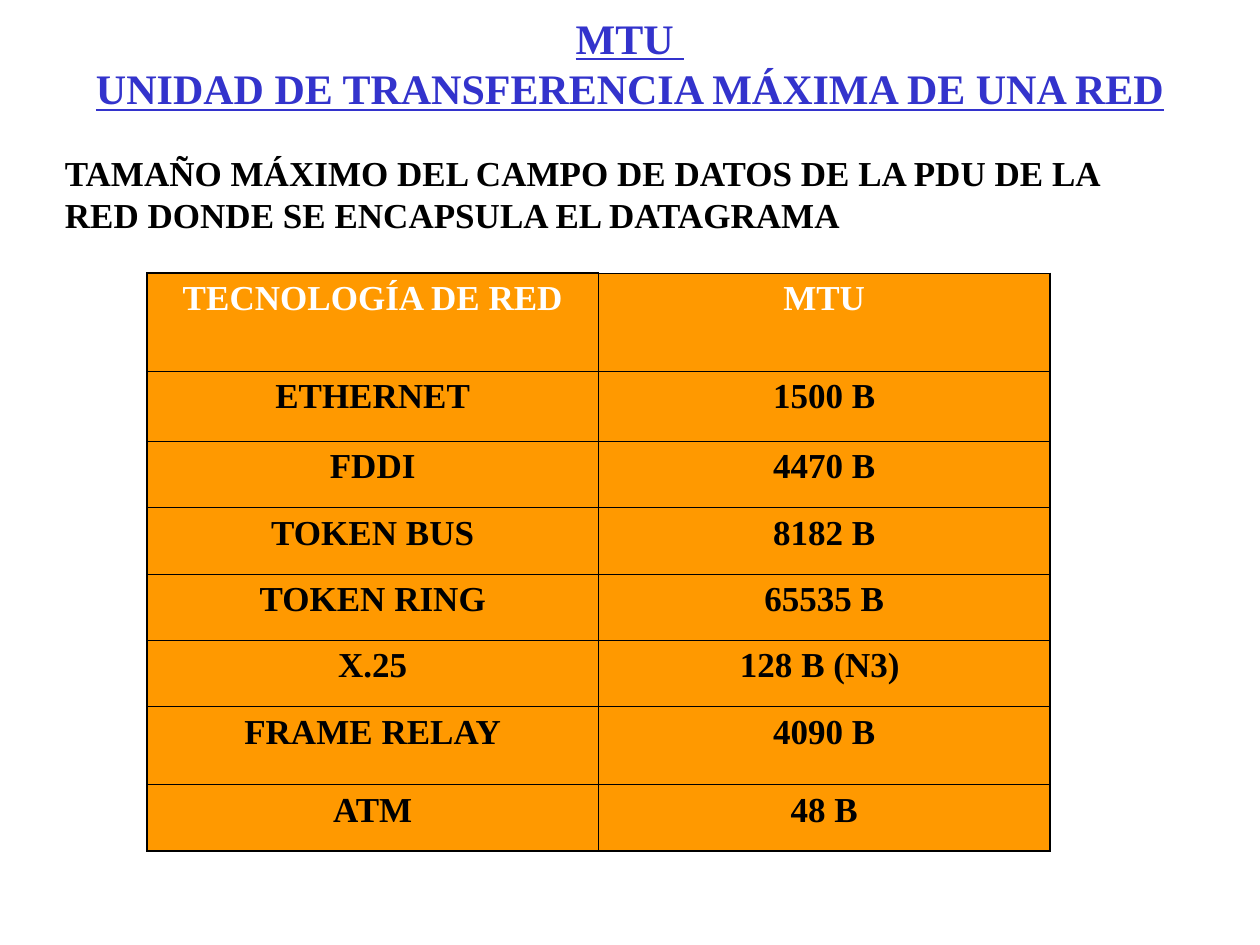
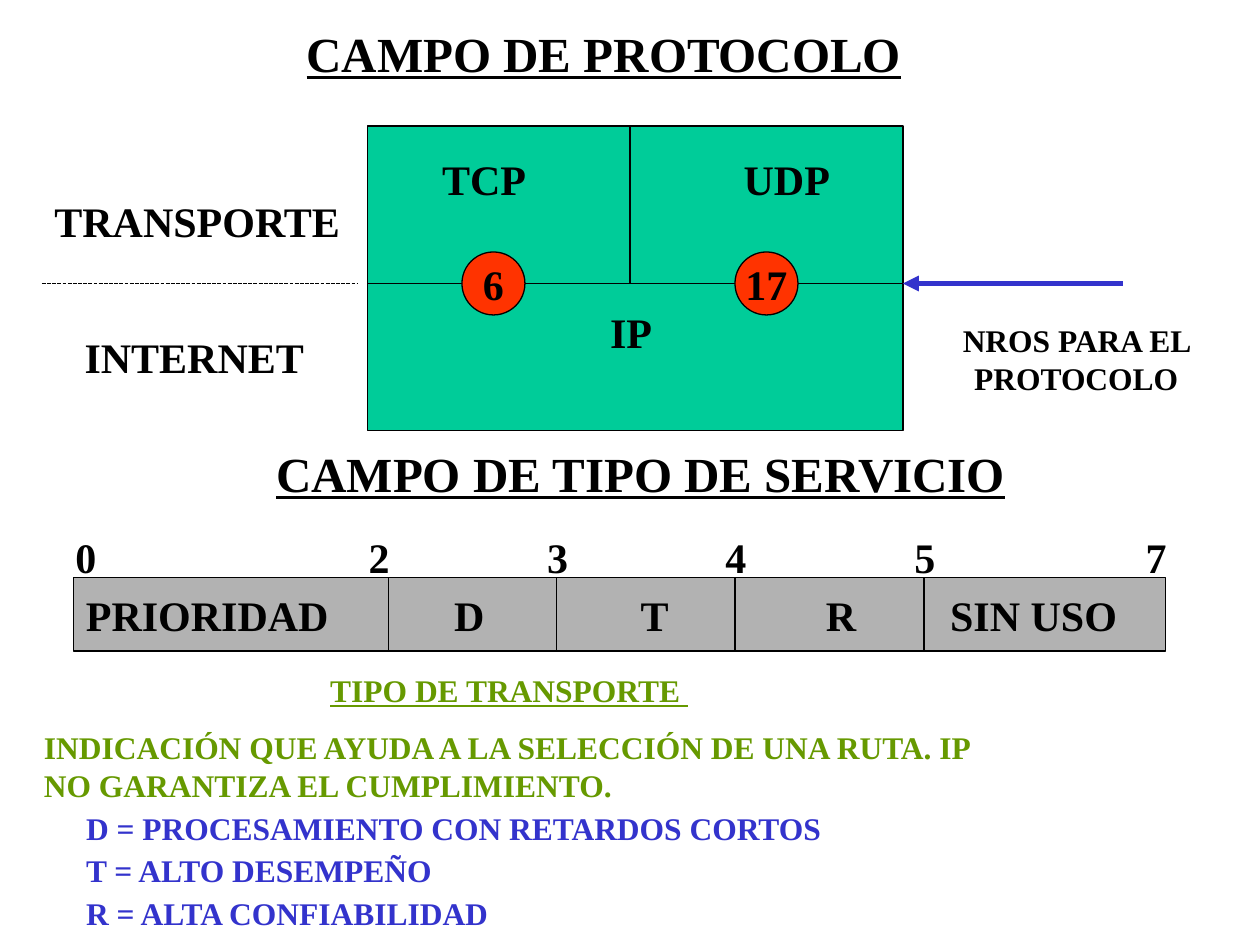
"""Build two slides on network MTU values and the IP protocol and service fields."""
from lxml import etree
from pptx import Presentation
from pptx.dml.color import RGBColor
from pptx.enum.dml import MSO_LINE
from pptx.enum.shapes import MSO_CONNECTOR, MSO_SHAPE
from pptx.enum.text import MSO_ANCHOR, MSO_AUTO_SIZE, PP_ALIGN
from pptx.oxml.ns import qn
from pptx.util import Pt

LEFT, CENTER = PP_ALIGN.LEFT, PP_ALIGN.CENTER
MIDDLE = MSO_ANCHOR.MIDDLE
RECTANGLE, OVAL = MSO_SHAPE.RECTANGLE, MSO_SHAPE.OVAL
STRAIGHT = MSO_CONNECTOR.STRAIGHT
FINE_DASH = MSO_LINE.SQUARE_DOT
FIXED_SIZE = MSO_AUTO_SIZE.NONE


class Theme:
    """Colours, font and type sizes shared by the slides."""
    font = "Times New Roman"
    black, white = RGBColor(0, 0, 0), RGBColor(255, 255, 255)
    blue, green = RGBColor(0x33, 0x33, 0xCC), RGBColor(0x66, 0x99, 0x00)
    orange, red = RGBColor(0xFF, 0x99, 0x00), RGBColor(0xFF, 0x33, 0x00)
    teal, grey = RGBColor(0x00, 0xCC, 0x99), RGBColor(0xB2, 0xB2, 0xB2)
    heading, label, body, note = Pt(28), Pt(24), Pt(20), Pt(18)
    thin, thick, arrow = Pt(0.75), Pt(1.08), Pt(3)
    inner = Pt(0.45)


def write(frame, text, size, color=Theme.black, align=LEFT, underline=False, tabs=()):
    """Fill a text frame with bold text and centred tab stops."""
    frame.text = text
    frame.word_wrap = True
    for para in frame.paragraphs:
        para.alignment = align
        para.space_before = Pt(0)
        if tabs:
            stops = etree.SubElement(para._p.get_or_add_pPr(), qn("a:tabLst"))
            for stop in tabs:
                etree.SubElement(stops, qn("a:tab"), pos=str(Pt(stop)), algn="ctr")
        for span in para.runs:
            span.font.name = Theme.font
            span.font.size = size
            span.font.bold = True
            span.font.underline = underline
            span.font.color.rgb = color


def draw_line(page, start, end, color=Theme.black, width=Theme.thin):
    """Draw a straight line without a shadow and return it."""
    line = page.shapes.add_connector(STRAIGHT, *(Pt(v) for v in start + end))
    line.line.color.rgb = color
    line.line.width = width
    etree.SubElement(line._element.spPr, qn("a:effectLst"))
    return line


deck = Presentation()
deck.slide_width, deck.slide_height = Pt(720), Pt(540)
mtu_page = deck.slides.add_slide(deck.slide_layouts[5])
field_page = deck.slides.add_slide(deck.slide_layouts[1])

titles = [
    (mtu_page, "MTU \vUNIDAD DE TRANSFERENCIA MÁXIMA DE UNA RED",
     (0, 12, 720, 48), Theme.label, Theme.blue),
    (field_page, "CAMPO DE PROTOCOLO", (138, 6, 414, 48), Theme.heading, Theme.black),
]
for page, text, place, size, color in titles:
    title = page.shapes.title
    title.left, title.top, title.width, title.height = (Pt(v) for v in place)
    write(title.text_frame, text, size, color, CENTER, True)
    title.text_frame.auto_size = FIXED_SIZE
    title.text_frame.vertical_anchor = MIDDLE

mtu_rows = [
    ("TECNOLOGÍA DE RED", "MTU", 56),
    ("ETHERNET", "1500 B", 40),
    ("FDDI", "4470 B", 38),
    ("TOKEN BUS", "8182 B", 38),
    ("TOKEN RING", "65535 B", 38),
    ("X.25", "128 B (N3) ", 38),
    ("FRAME RELAY", "4090 B", 44.5),
    ("ATM", "48 B", 38),
]
table = mtu_page.shapes.add_table(len(mtu_rows), 2, Pt(84), Pt(156), Pt(516), Pt(330.5)).table
last_row = len(mtu_rows) - 1
for row, (network, mtu, height) in enumerate(mtu_rows):
    table.rows[row].height = Pt(height)
    for column, text in enumerate((network, mtu)):
        cell = table.cell(row, column)
        write(cell.text_frame, text, Theme.body, Theme.black if row else Theme.white, CENTER)
        outer_sides = {"lnL": column == 0, "lnR": column == 1,
                       "lnT": row == 0 and column == 0, "lnB": row == last_row}
        for side, is_outer in outer_sides.items():
            width = Theme.thick if is_outer else Theme.inner
            border = etree.SubElement(cell._tc.get_or_add_tcPr(), qn(f"a:{side}"), w=str(width))
            fill = etree.SubElement(border, qn("a:solidFill"))
            etree.SubElement(fill, qn("a:srgbClr"), val=str(Theme.black))
        cell.fill.solid()
        cell.fill.fore_color.rgb = Theme.orange

shapes = [
    (RECTANGLE, (210, 72, 306, 174), Theme.teal, "", LEFT, ()),
    (RECTANGLE, (42, 330, 624, 42), Theme.grey, "PRIORIDAD\tD\tT\tR\tSIN USO", LEFT,
     (219, 325, 431.5, 541.5)),
    (OVAL, (264, 144, 36, 36), Theme.red, "6", CENTER, ()),
    (OVAL, (420, 144, 36, 36), Theme.red, "17", CENTER, ()),
]
lines = [((210, 162), (516, 162)), ((360, 72), (360, 162))]
lines += [((x, 330), (x, 372)) for x in (222, 318, 420, 528)]

for kind, place, color, text, align, tabs in shapes:
    shape = field_page.shapes.add_shape(kind, *(Pt(v) for v in place))
    shape.shadow.inherit = False
    shape.fill.solid()
    shape.fill.fore_color.rgb = color
    shape.line.color.rgb = Theme.black
    shape.line.width = Theme.thin
    write(shape.text_frame, text, Theme.label, align=align, tabs=tabs)
    shape.text_frame.vertical_anchor = MIDDLE
    shape.text_frame.word_wrap = kind == RECTANGLE
    if color == Theme.teal:
        for start, end in lines:
            if end[1] == 162:
                draw_line(field_page, start, end)
for start, end in lines:
    if end[1] == 372:
        draw_line(field_page, start, end)

layer_line = draw_line(field_page, (24, 162), (204, 162))
layer_line.line.dash_style = FINE_DASH
arrow = draw_line(field_page, (516, 162), (642, 162), Theme.blue, Theme.arrow)
etree.SubElement(arrow.line._get_or_add_ln(), qn("a:headEnd"), type="triangle")

texts = [
    (mtu_page, (30, 83, 636, 55), Theme.body, Theme.black, LEFT, (),
     "TAMAÑO MÁXIMO DEL CAMPO DE DATOS DE LA PDU DE LA RED DONDE SE ENCAPSULA EL DATAGRAMA"),
    (field_page, (222, 84, 282, 124), Theme.label, Theme.black, LEFT, (47.5, 131.5, 220.5),
     "\tTCP\t\tUDP\n\t\tIP"),
    (field_page, (24, 108, 198, 36), Theme.label, Theme.black, LEFT, (), "TRANSPORTE"),
    (field_page, (12, 186, 198, 36), Theme.label, Theme.black, CENTER, (), "INTERNET"),
    (field_page, (534, 180, 162, 50), Theme.note, Theme.black, CENTER, (),
     "NROS PARA EL PROTOCOLO"),
    (field_page, (126, 246, 480, 48), Theme.heading, Theme.black, CENTER, (),
     "CAMPO DE TIPO DE SERVICIO"),
    (field_page, (36, 300, 654, 36), Theme.label, Theme.black, LEFT,
     (173.5, 275.5, 377.5, 485.5, 617.5), "0\t2\t3\t4\t5\t7"),
    (field_page, (18, 384, 546, 79), Theme.note, Theme.green, LEFT, (),
     "TIPO DE TRANSPORTE \nINDICACIÓN QUE AYUDA A LA SELECCIÓN DE UNA RUTA. "
     "IP NO GARANTIZA EL CUMPLIMIENTO."),
]
for page, place, size, color, align, tabs, text in texts:
    box = page.shapes.add_textbox(*(Pt(v) for v in place))
    frame = box.text_frame
    write(frame, text, size, color, align, size == Theme.heading, tabs)
    if size == Theme.heading:
        frame.vertical_anchor = MIDDLE
    if len(frame.paragraphs) == 2:
        frame.paragraphs[1].space_before = Pt(59 if tabs else 11.2)
    if color == Theme.green:
        subtitle = frame.paragraphs[0]
        subtitle.alignment = CENTER
        subtitle.line_spacing = 0.8
        subtitle.runs[0].font.underline = True

legend = field_page.placeholders[1]
legend.left, legend.top, legend.width, legend.height = Pt(42), Pt(458.5), Pt(486), Pt(76)
write(legend.text_frame,
      "D = PROCESAMIENTO CON RETARDOS CORTOS\nT = ALTO DESEMPEÑO\nR = ALTA CONFIABILIDAD",
      Theme.note, Theme.blue)
legend.text_frame.auto_size = FIXED_SIZE
for index, para in enumerate(legend.text_frame.paragraphs):
    properties = para._p.get_or_add_pPr()
    properties.set("marL", "0")
    properties.set("indent", "0")
    etree.SubElement(properties, qn("a:buNone"))
    para.space_before = Pt(2.7 if index else 0)

deck.save("out.pptx")
